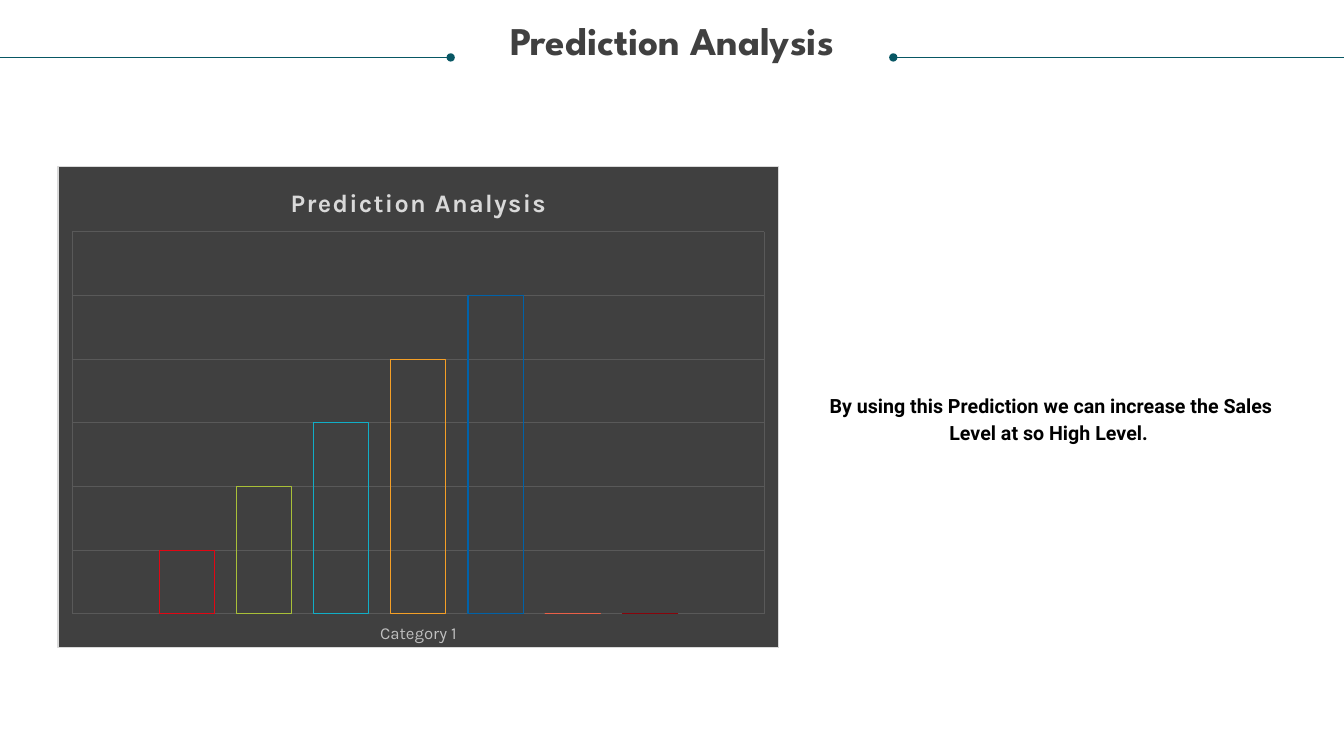
from lxml import etree
from pptx import Presentation
from pptx.chart.data import CategoryChartData
from pptx.dml.color import RGBColor
from pptx.enum.chart import XL_CHART_TYPE, XL_TICK_LABEL_POSITION, XL_TICK_MARK
from pptx.enum.shapes import MSO_CONNECTOR
from pptx.enum.text import MSO_ANCHOR, MSO_AUTO_SIZE, PP_ALIGN
from pptx.oxml import parse_xml
from pptx.oxml.ns import nsdecls, qn
from pptx.util import Inches, Pt

PAGE_WIDTH, PAGE_HEIGHT = 13.33, 7.5
DARK, GRID, TEAL = "404040", "595959", "085764"
SERIES = [(20, "E20613"), (40, "A9C038"), (60, "11AEC7"), (80, "F59F26"),
          (100, "0062A9"), (0, "EB6047"), (0, "88040B")]


def color(value):
    """Turn a hex string into a colour."""
    return RGBColor.from_string(value)


def style_font(font, name, size, shade, bold):
    """Set the look of a font."""
    font.name, font.size, font.bold = name, Pt(size), bold
    font.color.rgb = color(shade)


def style_line(line, shade, width=0.75):
    """Set the colour and width of a line."""
    line.color.rgb = color(shade)
    line.width = Pt(width)


def write_text(shape, text, font_name, size, shade, spacing):
    """Fill a shape with one centred bold paragraph."""
    frame = shape.text_frame
    frame.word_wrap = True
    frame.auto_size = MSO_AUTO_SIZE.NONE
    frame.vertical_anchor = MSO_ANCHOR.TOP
    frame.margin_left = frame.margin_right = frame.margin_top = frame.margin_bottom = 0
    para = frame.paragraphs[0]
    para.alignment = PP_ALIGN.CENTER
    para.line_spacing = spacing
    para.space_before = Pt(0)
    span = para.add_run()
    span.text = text
    style_font(span.font, font_name, size, shade, True)


def add_rule(page, edge, dot, top):
    """Draw a thin line from the page edge to a round dot."""
    rule = page.shapes.add_connector(MSO_CONNECTOR.STRAIGHT, Inches(edge), Inches(top),
                                     Inches(dot), Inches(top))
    style_line(rule.line, TEAL, 0.5)
    properties = rule.line._get_or_add_ln()
    etree.SubElement(properties, qn("a:tailEnd"), type="oval")
    etree.SubElement(rule._element.spPr, qn("a:effectLst"))


def add_heading(page, left, top, width, height):
    """Place the title between two dotted rules."""
    title = page.shapes.title
    title.left, title.top = Inches(left), Inches(top)
    title.width, title.height = Inches(width), Inches(height)
    write_text(title, "Prediction Analysis", "League Spartan", 28, DARK, 0.9)
    rule_top, dot = top + 0.36, 4.47
    add_rule(page, 0, dot, rule_top)
    add_rule(page, PAGE_WIDTH, PAGE_WIDTH - dot, rule_top)


def style_frame(chart):
    """Set the chart background, border and plot position."""
    fill = parse_xml(
        f'<c:spPr {nsdecls("c", "a")}><a:solidFill><a:srgbClr val="{DARK}"/></a:solidFill>'
        '<a:ln w="9525"><a:solidFill><a:srgbClr val="D9D9D9"/></a:solidFill></a:ln></c:spPr>')
    chart._chartSpace.find(qn("c:chart")).addnext(fill)
    plot_area = chart._chartSpace.find(qn("c:chart")).find(qn("c:plotArea"))
    for old in plot_area.findall(qn("c:layout")):
        plot_area.remove(old)
    layout = etree.Element(qn("c:layout"))
    manual = etree.SubElement(layout, qn("c:manualLayout"))
    settings = {"layoutTarget": "inner", "xMode": "edge", "yMode": "edge",
                "x": "0.02", "y": "0.135", "w": "0.96", "h": "0.795"}
    for name, value in settings.items():
        etree.SubElement(manual, qn(f"c:{name}"), val=value)
    plot_area.insert(0, layout)


def style_axes(chart):
    """Format both axes and their gridlines."""
    for axis in (chart.category_axis, chart.value_axis):
        axis.has_major_gridlines = True
        style_line(axis.major_gridlines.format.line, GRID)
        axis.major_tick_mark = axis.minor_tick_mark = XL_TICK_MARK.NONE
    chart.category_axis.format.line.fill.background()
    chart.category_axis.tick_label_position = XL_TICK_LABEL_POSITION.LOW
    style_font(chart.category_axis.tick_labels.font, "Karla", 12, "BFBFBF", False)
    values = chart.value_axis
    values.minimum_scale, values.maximum_scale, values.major_unit = 0, 120, 20
    values.visible = False


def add_prediction_chart(page, left, top, width, height):
    """Place the dark chart with outlined columns."""
    data = CategoryChartData()
    data.categories = ["Category 1"]
    for number, (value, shade) in enumerate(SERIES, 1):
        data.add_series(f"Series {number}", [value])
    chart = page.shapes.add_chart(XL_CHART_TYPE.COLUMN_CLUSTERED, Inches(left), Inches(top),
                                  Inches(width), Inches(height), data).chart
    style_font(chart.font, "Karla", 10, "000000", False)
    chart.has_legend = False
    chart.has_title = True
    span = chart.chart_title.text_frame.paragraphs[0].add_run()
    span.text = "Prediction Analysis"
    style_font(span.font, "Karla", 18, "D9D9D9", True)
    span.font._element.set("spc", "100")
    plot = chart.plots[0]
    plot.gap_width, plot.overlap, plot.vary_by_categories = 315, -40, False
    for series, (value, shade) in zip(plot.series, SERIES):
        series.invert_if_negative = False
        series.format.fill.background()
        style_line(series.format.line, shade)
    style_axes(chart)
    style_frame(chart)


def add_conclusion(page, left, top, width, height):
    """Place the closing statement."""
    box = page.shapes.add_textbox(Inches(left), Inches(top), Inches(width), Inches(height))
    write_text(box, "By using this Prediction we can increase the Sales Level at so High Level. ",
               "Roboto", 14, "000000", Pt(19))


def main():
    """Build and save the deck."""
    deck = Presentation()
    deck.slide_width, deck.slide_height = Inches(PAGE_WIDTH), Inches(PAGE_HEIGHT)
    page = deck.slides.add_slide(deck.slide_layouts[5])
    add_heading(page, 0.25, 0.21, 12.83, 0.73)
    add_prediction_chart(page, 0.57, 1.65, 7.16, 4.78)
    add_conclusion(page, 8.09, 3.88, 4.67, 0.51)
    deck.save("out.pptx")


if __name__ == "__main__":
    main()
